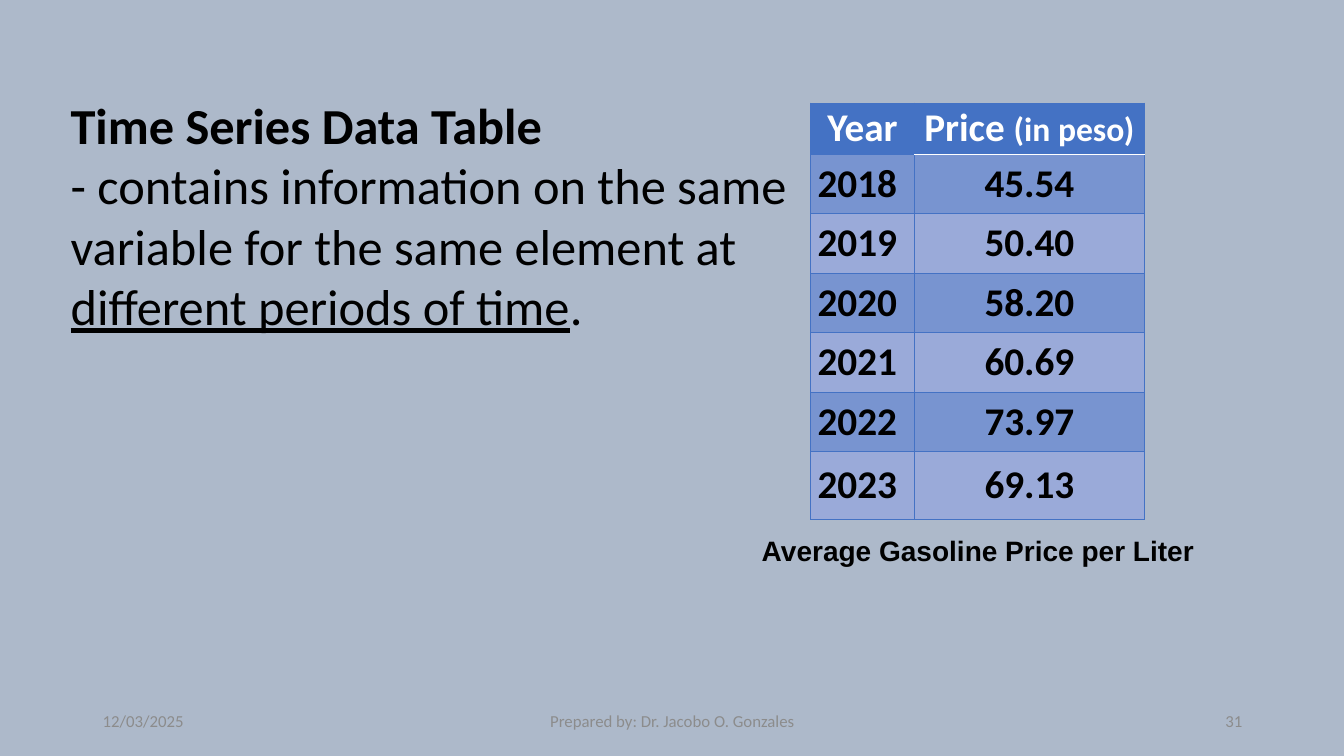
import pptx
import pptx.dml.color
import pptx.enum.text
import pptx.oxml
import pptx.oxml.ns
import pptx.util
from pptx.util import Inches

RGBColor = pptx.dml.color.RGBColor
Align = pptx.enum.text.PP_ALIGN
Anchor = pptx.enum.text.MSO_ANCHOR

BACKGROUND = RGBColor(0xAD, 0xB9, 0xCA)
BLACK = RGBColor(0, 0, 0)
WHITE = RGBColor(255, 255, 255)
GREY = RGBColor(0x8C, 0x8C, 0x8C)
BLUE = RGBColor(0x44, 0x72, 0xC4)
DARK_BAND = RGBColor(0x78, 0x94, 0xD0)
LIGHT_BAND = RGBColor(0x9A, 0xAA, 0xD9)

PRICES = [
    ("2018", "45.54"),
    ("2019", "50.40"),
    ("2020", "58.20"),
    ("2021", "60.69"),
    ("2022", "73.97"),
    ("2023", "69.13"),
]


class DataSlide:
    font = "Calibri"

    def __init__(self, presentation):
        self.slide = presentation.slides.add_slide(presentation.slide_layouts[5])
        fill = self.slide.background.fill
        fill.solid()
        fill.fore_color.rgb = BACKGROUND

    def add_runs(self, paragraph, pieces, size, color=BLACK, align=Align.LEFT, font=None):
        """Fill a paragraph with (text, format) pieces; format overrides the base style."""
        paragraph.alignment = align
        for text, changes in pieces:
            run = paragraph.add_run()
            run.text = text
            run.font.name = font or self.font
            run.font.size = pptx.util.Pt(changes.get("size", size))
            run.font.bold = changes.get("bold", False)
            run.font.underline = changes.get("underline", False)
            run.font.color.rgb = color

    def title(self, left, top, width, height, paragraphs, size):
        heading = self.slide.shapes.title
        heading.left, heading.top = Inches(left), Inches(top)
        heading.width, heading.height = Inches(width), Inches(height)
        heading.fill.solid()
        heading.fill.fore_color.rgb = BACKGROUND
        frame = heading.text_frame
        frame.word_wrap = True
        frame.auto_size = pptx.enum.text.MSO_AUTO_SIZE.NONE
        frame.vertical_anchor = Anchor.TOP
        for index, pieces in enumerate(paragraphs):
            paragraph = frame.add_paragraph() if index else frame.paragraphs[0]
            paragraph.line_spacing = 1.0
            self.add_runs(paragraph, pieces, size)

    def label(self, left, top, width, height, text, size, color, align,
              bold=False, font=None, anchor=Anchor.MIDDLE):
        box = self.slide.shapes.add_textbox(
            Inches(left), Inches(top), Inches(width), Inches(height))
        frame = box.text_frame
        frame.word_wrap = True
        frame.vertical_anchor = anchor
        self.add_runs(frame.paragraphs[0], [(text, {"bold": bold})], size, color, align, font)

    def border(self, cell, top, bottom):
        """Outline a cell; this must precede its fill."""
        properties = cell._tc.get_or_add_tcPr()
        edges = {"L": (BLUE, 0.5), "R": (BLUE, 0.5), "T": top, "B": bottom}
        for side, (color, points) in edges.items():
            properties.append(pptx.oxml.parse_xml(
                f'<a:ln{side} {pptx.oxml.ns.nsdecls("a")} w="{int(pptx.util.Pt(points))}">'
                f'<a:solidFill><a:srgbClr val="{color}"/></a:solidFill></a:ln{side}>'))

    def cell(self, cell, pieces, fill, color, align, top=(BLUE, 0.5), bottom=(BLUE, 0.5)):
        self.border(cell, top, bottom)
        cell.fill.solid()
        cell.fill.fore_color.rgb = fill
        cell.vertical_anchor = Anchor.MIDDLE
        cell.margin_left = cell.margin_right = Inches(0.07)
        cell.margin_top = cell.margin_bottom = 0
        self.add_runs(cell.text_frame.paragraphs[0], pieces, 28, color, align)

    def price_table(self, left, top, widths, heights):
        table = self.slide.shapes.add_table(
            len(heights), len(widths), Inches(left), Inches(top),
            Inches(sum(widths)), Inches(sum(heights))).table
        for column, width in zip(table.columns, widths):
            column.width = Inches(width)
        for row, height in zip(table.rows, heights):
            row.height = Inches(height)
        bold = {"bold": True}
        header_rule, thin_rule = (WHITE, 1), (BLUE, 0.5)
        self.cell(table.cell(0, 0), [("Year", bold)], BLUE, WHITE, Align.CENTER)
        self.cell(table.cell(0, 1), [("Price ", bold), ("(in peso)", {"bold": True, "size": 24})],
                  BLUE, WHITE, Align.CENTER, bottom=header_rule)
        for row, (year, price) in enumerate(PRICES, start=1):
            band = DARK_BAND if row % 2 else LIGHT_BAND
            self.cell(table.cell(row, 0), [(year, bold)], band, BLACK, Align.LEFT)
            self.cell(table.cell(row, 1), [(price, bold)], band, BLACK, Align.CENTER,
                      top=header_rule if row == 1 else thin_rule)


def main():
    presentation = pptx.Presentation()
    presentation.slide_width = Inches(13.33)
    presentation.slide_height = Inches(7.5)
    page = DataSlide(presentation)

    page.title(0.6, 0.88, 7.44, 2.52, [
        [("Time Series Data Table", {"bold": True})],
        [("- contains information on the same variable for the same element at ", {}),
         ("different periods of time", {"underline": True}),
         (".", {})],
    ], size=36)
    page.price_table(8.04, 1.02, [1.03, 2.28], [0.51] + [0.59] * 5 + [0.67])
    page.label(6.05, 5.24, 7.3, 0.44, "Average Gasoline Price per Liter", 20, BLACK,
               Align.CENTER, bold=True, font="Arial", anchor=Anchor.TOP)

    for left, width, text, align in [
        (0.92, 3, "12/03/2025", Align.LEFT),
        (4.42, 4.5, "Prepared by: Dr. Jacobo O. Gonzales", Align.CENTER),
        (9.42, 3, "31", Align.RIGHT),
    ]:
        page.label(left, 6.95, width, 0.4, text, 12, GREY, align)

    presentation.save("out.pptx")


if __name__ == "__main__":
    main()
